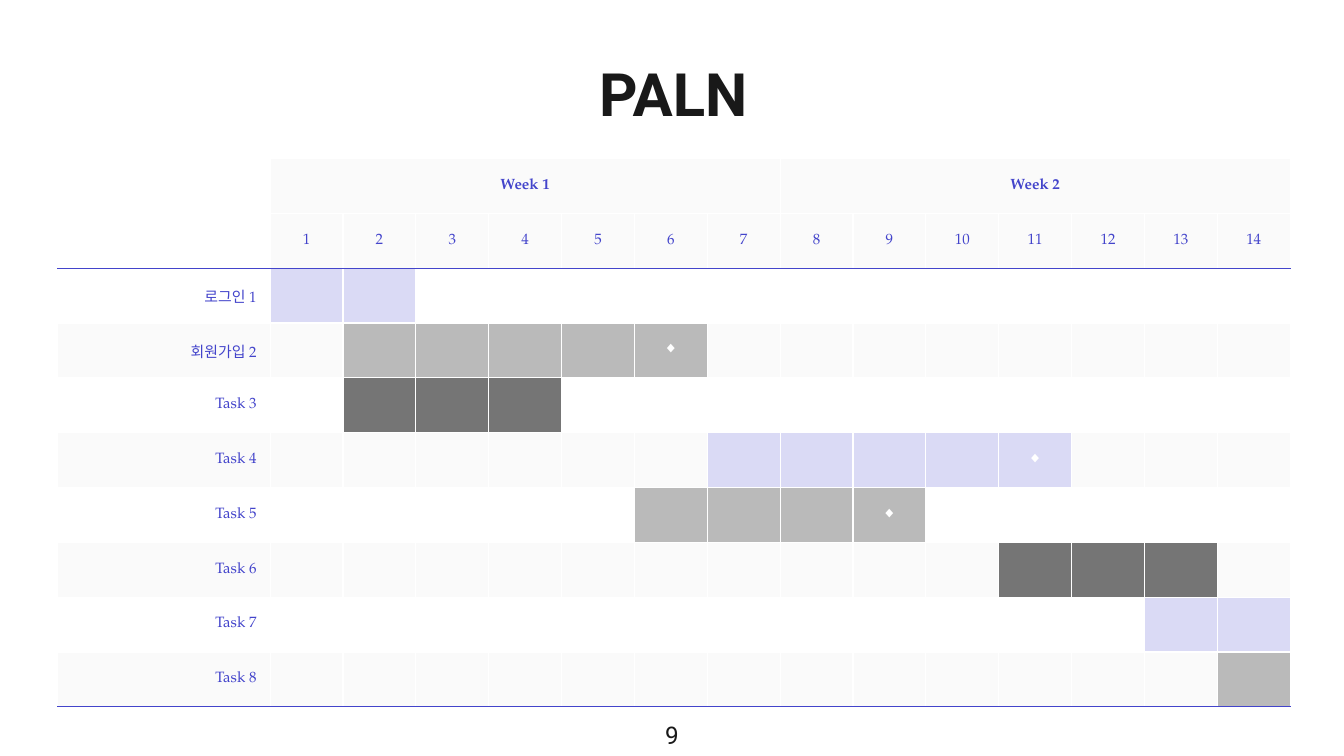
from lxml.etree import SubElement
from pptx import Presentation
from pptx.dml.color import RGBColor
from pptx.enum.text import MSO_ANCHOR, PP_ALIGN
from pptx.oxml.ns import qn
from pptx.util import Inches, Pt

COLORS = {
    "ink": "191919",
    "blue": "4344CB",
    "white": "FFFFFF",
    "pale": "FAFAFA",
    "lilac": "DADAF5",
    "gray": "BABABA",
    "dark": "757575",
}
SANS, SERIF = "Roboto", "TeX Gyre Pagella"
DAYS, WEEK, HEADS = 14, 7, 2
WIDTH, HEIGHT, LABEL = 9.17, 4.08, 1.58
TASKS = [
    ("로그인 1", 1, 2, "lilac", None),
    ("회원가입 2", 2, 6, "gray", 6),
    ("Task 3", 2, 4, "dark", None),
    ("Task 4", 7, 11, "lilac", 11),
    ("Task 5", 6, 9, "gray", 9),
    ("Task 6", 11, 13, "dark", None),
    ("Task 7", 13, 14, "lilac", None),
    ("Task 8", 14, 14, "gray", None),
]


def write(frame, text, size, face, color, align=PP_ALIGN.CENTER, bold=False):
    """Put one styled paragraph into a text frame."""
    para = frame.paragraphs[0]
    para.text = text
    para.alignment = align
    font = para.font
    font.size, font.name, font.bold = Pt(size), face, bold
    font.color.rgb = RGBColor.from_string(COLORS[color])


def add_label(slide, text, box, size, bold=False):
    """Add a centred text box in the sans face."""
    frame = slide.shapes.add_textbox(*map(Inches, box)).text_frame
    frame.word_wrap = True
    frame.margin_top = frame.margin_bottom = Inches(0.1)
    write(frame, text, size, SANS, "ink", bold=bold)


def edge(cell, top, bottom):
    """Draw thin borders round a cell, white at the sides."""
    props = cell._tc.get_or_add_tcPr()
    sides = {"lnL": "white", "lnR": "white", "lnT": top, "lnB": bottom}
    for tag, color in sides.items():
        line = SubElement(props, qn(f"a:{tag}"), w=str(Pt(0.75)))
        fill = SubElement(line, qn("a:solidFill"))
        SubElement(fill, qn("a:srgbClr"), val=COLORS[color])


def paint(cell, color):
    """Fill a cell, or leave it clear when no colour is given."""
    if color:
        cell.fill.solid()
        cell.fill.fore_color.rgb = RGBColor.from_string(COLORS[color])
    else:
        cell.fill.background()


def add_grid(slide):
    """Add the empty table with its sizes and borders."""
    count = HEADS + len(TASKS)
    box = map(Inches, (0.43, 1.18, WIDTH, HEIGHT))
    table = slide.shapes.add_table(count, DAYS + 1, *box).table
    table.first_row = table.horz_banding = False
    for num, col in enumerate(table.columns):
        col.width = Inches((WIDTH - LABEL) / DAYS if num else LABEL)
    for num, row in enumerate(table.rows):
        row.height = Inches(HEIGHT / count)
        top = "blue" if num == HEADS else "white"
        bottom = "blue" if num in (HEADS - 1, count - 1) else "white"
        for cell in row.cells:
            edge(cell, top, bottom)
            cell.vertical_anchor = MSO_ANCHOR.MIDDLE
            write(cell.text_frame, "", 8, SERIF, "blue")
    return table


def fill_head(table):
    """Write the week and day headings."""
    for row in range(HEADS):
        for col in range(DAYS + 1):
            paint(table.cell(row, col), "pale" if col else None)
    for day in range(1, DAYS + 1):
        write(table.cell(1, day).text_frame, str(day), 8, SERIF, "blue")
    for week in range(DAYS // WEEK):
        first = week * WEEK + 1
        cell = table.cell(0, first)
        cell.merge(table.cell(0, first + WEEK - 1))
        write(cell.text_frame, f"Week {week + 1}", 8, SERIF, "blue", bold=True)


def fill_task(table, row, task):
    """Write a task's name, bar and milestone."""
    name, start, end, color, mark = task
    band = "pale" if row % 2 else None
    for col in range(DAYS + 1):
        paint(table.cell(row, col), color if start <= col <= end else band)
    write(table.cell(row, 0).text_frame, name, 8, SERIF, "blue", PP_ALIGN.RIGHT)
    if mark:
        write(table.cell(row, mark).text_frame, "◆", 8, SERIF, "white")


def main():
    """Build the schedule slide."""
    deck = Presentation()
    deck.slide_width, deck.slide_height = Inches(10), Inches(10 * 9 / 16)
    slide = deck.slides.add_slide(deck.slide_layouts[6])
    add_label(slide, "PALN", (1.14, 0.32, 7.74, 0.59), 32, bold=True)
    add_label(slide, "9", (0, 5.26, 10, 0.36), 13)
    table = add_grid(slide)
    fill_head(table)
    for row, task in enumerate(TASKS, HEADS):
        fill_task(table, row, task)
    deck.save("out.pptx")


if __name__ == "__main__":
    main()
